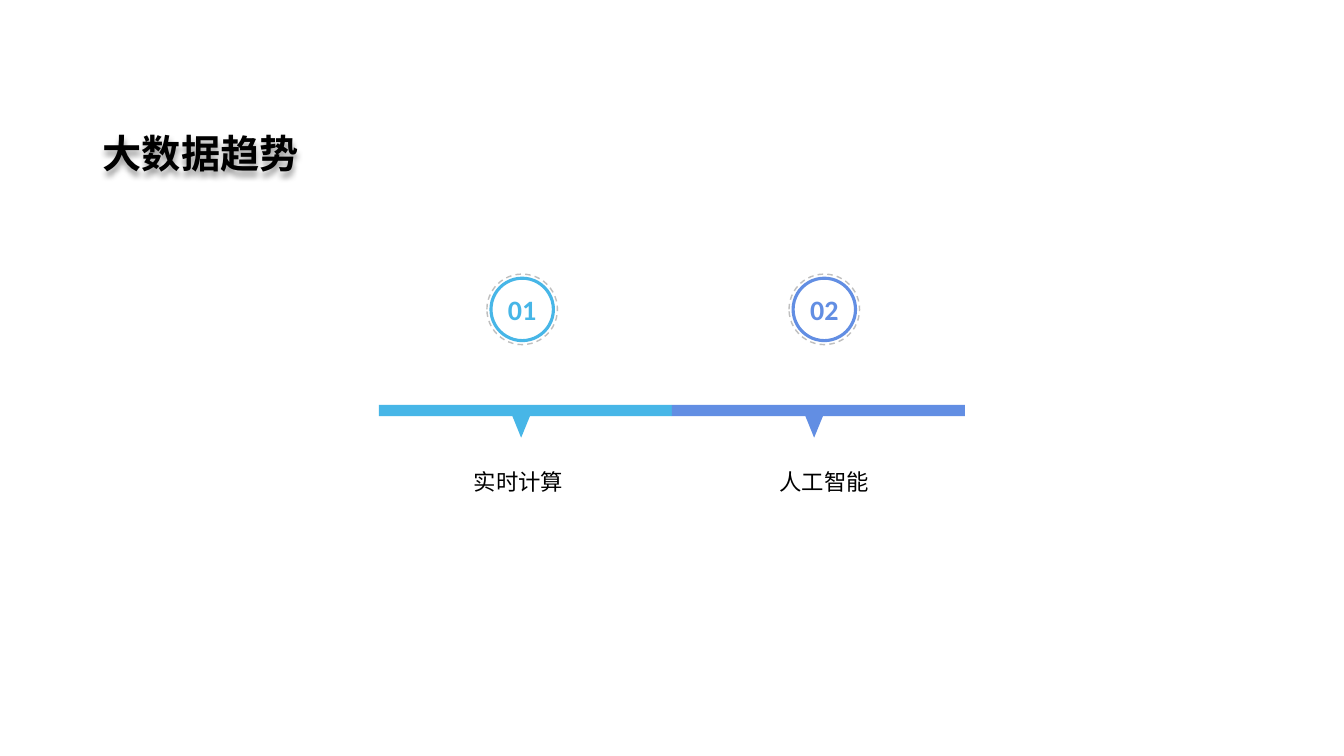
from dataclasses import dataclass

from lxml.etree import SubElement
from pptx import Presentation
from pptx.dml.color import RGBColor
from pptx.enum.dml import MSO_LINE
from pptx.enum.shapes import MSO_SHAPE as Preset
from pptx.enum.text import MSO_ANCHOR as Anchor, MSO_AUTO_SIZE as AutoSize, PP_ALIGN as Align
from pptx.oxml.ns import qn
from pptx.shapes.autoshape import Shape
from pptx.slide import Slide
from pptx.text.text import TextFrame
from pptx.util import Pt

BLACK = RGBColor(0x00, 0x00, 0x00)
GREY = RGBColor(0xBF, 0xBF, 0xBF)
SKY = RGBColor(0x47, 0xB6, 0xE7)
INDIGO = RGBColor(0x62, 0x8E, 0xE3)

BADGE_X, BADGE_Y, BADGE_PITCH = 373, 221, 215.8
BADGE_SIZE, HALO_SIZE = 44.6, 50.4
BAR_LEFT, BAR_TOP, BAR_WIDTH, BAR_HEIGHT = 270.7, 289.3, 209.3, 8
POINTER_LEFT, POINTER_WIDTH, POINTER_HEIGHT = 366, 12.5, 15.4
LABEL_LEFT, LABEL_TOP, LABEL_PITCH = 276.5, 325.4, 218.2
LABEL_WIDTH, LABEL_HEIGHT = 187.9, 92.2


@dataclass(frozen=True)
class Trend:
    number: str
    label: str
    color: RGBColor


TRENDS = [Trend("01", "实时计算", SKY), Trend("02", "人工智能", INDIGO)]


def set_text(frame: TextFrame, text: str, size: float, color: RGBColor,
             font_name: str = "Calibri", bold: bool = False,
             align: Align = Align.CENTER, line_spacing: float = 1.0) -> None:
    frame.word_wrap = True
    frame.text = text
    paragraph = frame.paragraphs[0]
    paragraph.alignment = align
    paragraph.line_spacing = line_spacing
    font = paragraph.runs[0].font
    font.name, font.size, font.bold = font_name, Pt(size), bold
    font.color.rgb = color


def add_solid(slide: Slide, preset: Preset, left: float, top: float,
              width: float, height: float, color: RGBColor) -> Shape:
    solid = slide.shapes.add_shape(preset, Pt(left), Pt(top), Pt(width), Pt(height))
    solid.shadow.inherit = False
    solid.fill.solid()
    solid.fill.fore_color.rgb = color
    solid.line.fill.background()
    return solid


def add_ring(slide: Slide, center_x: float, size: float,
             color: RGBColor, weight: float) -> Shape:
    ring = slide.shapes.add_shape(Preset.OVAL, Pt(center_x - size / 2),
                                  Pt(BADGE_Y - size / 2), Pt(size), Pt(size))
    ring.shadow.inherit = False
    ring.fill.background()
    ring.line.color.rgb = color
    ring.line.width = Pt(weight)
    return ring


def add_soft_shadow(shape: Shape) -> None:
    shape.shadow.inherit = False
    effects = shape.element.spPr.find(qn("a:effectLst"))
    shadow = SubElement(effects, qn("a:outerShdw"), blurRad=str(Pt(4)),
                        dist=str(Pt(3)), dir="5400000", algn="t", rotWithShape="0")
    tint = SubElement(shadow, qn("a:srgbClr"), val="000000")
    SubElement(tint, qn("a:alpha"), val="40000")


def add_title(slide: Slide, text: str) -> None:
    title = slide.shapes.title
    title.left, title.top, title.width, title.height = Pt(66.2), Pt(72), Pt(397.4), Pt(58.3)
    frame = title.text_frame
    set_text(frame, text, 28, BLACK, "Noto Sans CJK SC", True, Align.LEFT, 1.5)
    frame.vertical_anchor = Anchor.TOP
    frame.auto_size = AutoSize.SHAPE_TO_FIT_TEXT
    add_soft_shadow(title)


def add_trend(slide: Slide, index: int, trend: Trend) -> None:
    badge_x = BADGE_X + index * BADGE_PITCH
    badge = add_ring(slide, badge_x, BADGE_SIZE, trend.color, 2.25)
    number = badge.text_frame
    number.margin_left = number.margin_right = 0
    number.vertical_anchor = Anchor.MIDDLE
    set_text(number, trend.number, 20, trend.color, bold=True)
    halo = add_ring(slide, badge_x, HALO_SIZE, GREY, 1)
    halo.line.dash_style = MSO_LINE.DASH

    shift = index * BAR_WIDTH
    add_solid(slide, Preset.RECTANGLE, BAR_LEFT + shift, BAR_TOP,
              BAR_WIDTH, BAR_HEIGHT, trend.color)
    pointer = add_solid(slide, Preset.ISOSCELES_TRIANGLE, POINTER_LEFT + shift,
                        BAR_TOP + BAR_HEIGHT, POINTER_WIDTH, POINTER_HEIGHT, trend.color)
    pointer.element.spPr.find(qn("a:xfrm")).set("flipV", "1")

    label = slide.shapes.add_textbox(Pt(LABEL_LEFT + index * LABEL_PITCH), Pt(LABEL_TOP),
                                     Pt(LABEL_WIDTH), Pt(LABEL_HEIGHT))
    set_text(label.text_frame, trend.label, 16, BLACK, line_spacing=1.3)


def main() -> None:
    deck = Presentation()
    deck.slide_width, deck.slide_height = Pt(960), Pt(540)
    slide = deck.slides.add_slide(deck.slide_layouts[5])
    add_title(slide, "大数据趋势")
    for index, trend in enumerate(TRENDS):
        add_trend(slide, index, trend)
    deck.save("out.pptx")


if __name__ == "__main__":
    main()
